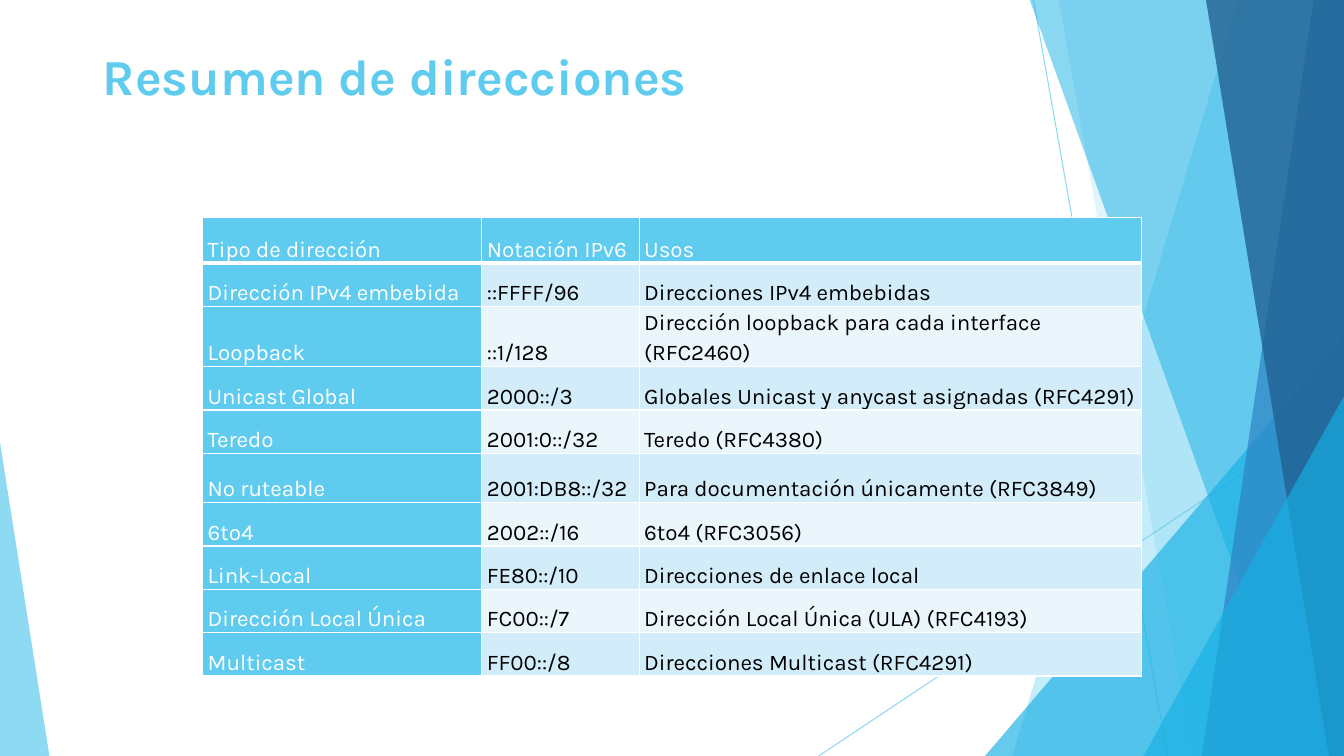
import pptx
import pptx.dml.color
import pptx.enum.shapes
import pptx.enum.text
import pptx.oxml.ns
import pptx.util
from lxml import etree
from pptx.util import Inches

FONT = "Karla"
WIDTH, HEIGHT = 13.33, 7.5
COLORS = {
    "sky": "5FCBEF",
    "cyan": "17B0E4",
    "blue": "2E83C3",
    "navy": "226292",
    "band_dark": "D2ECF9",
    "band_light": "EAF6FC",
    "white": "FFFFFF",
    "black": "000000",
}
COLUMN_WIDTHS = [2.77, 1.56, 4.98]
ROW_HEIGHT = 0.43
SPECIAL_HEIGHTS = {0: 0.45, 5: 0.49}
ADDRESSES = [
    ("Tipo de dirección", "Notación IPv6", "Usos"),
    ("Dirección IPv4 embebida", "::FFFF/96", "Direcciones IPv4 embebidas"),
    ("Loopback", "::1/128", "Dirección loopback para cada interface (RFC2460)"),
    ("Unicast Global", "2000::/3", "Globales Unicast y anycast asignadas (RFC4291)"),
    ("Teredo", "2001:0::/32", "Teredo (RFC4380)"),
    ("No ruteable", "2001:DB8::/32", "Para documentación únicamente (RFC3849)"),
    ("6to4", "2002::/16", "6to4 (RFC3056)"),
    ("Link-Local", "FE80::/10", "Direcciones de enlace local"),
    ("Dirección Local Única", "FC00::/7", "Dirección Local Única (ULA) (RFC4193)"),
    ("Multicast", "FF00::/8", "Direcciones Multicast (RFC4291)"),
]


def rgb(name):
    return pptx.dml.color.RGBColor.from_string(COLORS[name])


def set_opacity(shape, percent):
    for color in shape.element.spPr.iter(pptx.oxml.ns.qn("a:srgbClr")):
        alpha = etree.SubElement(color, pptx.oxml.ns.qn("a:alpha"))
        alpha.set("val", str(percent * 1000))


def style_panel(shape, color, opacity):
    shape.shadow.inherit = False
    shape.fill.solid()
    shape.fill.fore_color.rgb = rgb(color)
    shape.line.fill.background()
    set_opacity(shape, opacity)


def add_ray(slide, start, end):
    ray = slide.shapes.add_connector(
        pptx.enum.shapes.MSO_CONNECTOR.STRAIGHT, *map(Inches, start + end))
    ray.line.color.rgb = rgb("sky")
    ray.line.width = pptx.util.Pt(0.75)
    set_opacity(ray, 70)
    etree.SubElement(ray.element.spPr, pptx.oxml.ns.qn("a:effectLst"))


def add_panel(slide, top_left, bottom_left, color, opacity):
    """Full-height panel with a slanted left side, reaching the right edge."""
    top = -0.01
    builder = slide.shapes.build_freeform(Inches(top_left), Inches(top))
    corners = [(WIDTH, top), (WIDTH, HEIGHT), (bottom_left, HEIGHT)]
    builder.add_line_segments([(Inches(x), Inches(y)) for x, y in corners], close=True)
    style_panel(builder.convert_to_shape(), color, opacity)


def add_triangle(slide, left, top, width, apex, color, opacity):
    """Triangle standing on the bottom edge of the slide."""
    triangle = slide.shapes.add_shape(
        pptx.enum.shapes.MSO_SHAPE.ISOSCELES_TRIANGLE,
        Inches(left), Inches(top), Inches(width), Inches(HEIGHT - top))
    triangle.adjustments[0] = apex
    style_panel(triangle, color, opacity)


def add_decoration(slide):
    add_ray(slide, (10.25, 0), (11.58, HEIGHT))
    add_ray(slide, (WIDTH, 4.03), (8.12, HEIGHT))
    add_panel(slide, 12.28, 10.04, "sky", 36)
    add_panel(slide, 10.5, 11.83, "sky", 20)
    add_triangle(slide, 9.77, 3.33, 3.56, 1, "cyan", 66)
    add_panel(slide, 10.21, 12.91, "cyan", 50)
    add_panel(slide, 13.03, 11.92, "blue", 70)
    add_panel(slide, 11.96, 13.18, "navy", 80)
    add_triangle(slide, 11.34, 3.93, 1.99, 1, "cyan", 66)
    add_triangle(slide, 0, 4.39, 0.49, 0, "sky", 70)


def set_font(paragraph, size, color, bold):
    for run in paragraph.runs:
        run.font.name = FONT
        run.font.size = pptx.util.Pt(size)
        run.font.bold = bold
        run.font.color.rgb = rgb(color)


def set_title(slide, text):
    title = slide.shapes.title
    title.left, title.top = Inches(0.92), Inches(0.4)
    title.width, title.height = Inches(11.5), Inches(1.45)
    title.text_frame.text = text
    title.text_frame.vertical_anchor = pptx.enum.text.MSO_ANCHOR.TOP
    paragraph = title.text_frame.paragraphs[0]
    paragraph.alignment = pptx.enum.text.PP_ALIGN.LEFT
    set_font(paragraph, 36, "sky", True)


def set_borders(cell, bottom_width):
    properties = cell._tc.get_or_add_tcPr()
    for side, width in (("L", 1), ("R", 1), ("T", 1), ("B", bottom_width)):
        border = etree.SubElement(properties, pptx.oxml.ns.qn(f"a:ln{side}"))
        border.set("w", str(pptx.util.Pt(width)))
        fill = etree.SubElement(border, pptx.oxml.ns.qn("a:solidFill"))
        color = etree.SubElement(fill, pptx.oxml.ns.qn("a:srgbClr"))
        color.set("val", COLORS["white"])


def fill_cell(cell, text, fill, color, bottom_width):
    set_borders(cell, bottom_width)
    cell.fill.solid()
    cell.fill.fore_color.rgb = rgb(fill)
    cell.margin_left = cell.margin_right = Inches(0.05)
    cell.margin_top = cell.margin_bottom = 0
    cell.vertical_anchor = pptx.enum.text.MSO_ANCHOR.BOTTOM
    cell.text_frame.text = text
    paragraph = cell.text_frame.paragraphs[0]
    paragraph.line_spacing = 1.15
    set_font(paragraph, 16, color, False)


def add_address_table(slide):
    heights = [SPECIAL_HEIGHTS.get(row, ROW_HEIGHT) for row in range(len(ADDRESSES))]
    table = slide.shapes.add_table(
        len(heights), len(COLUMN_WIDTHS), Inches(2.01), Inches(2.16),
        Inches(sum(COLUMN_WIDTHS)), Inches(sum(heights))).table
    for column, width in zip(table.columns, COLUMN_WIDTHS):
        column.width = Inches(width)
    for row, height in enumerate(heights):
        table.rows[row].height = Inches(height)
        band = "band_dark" if row % 2 else "band_light"
        for column, text in enumerate(ADDRESSES[row]):
            is_heading = row == 0 or column == 0
            fill_cell(table.cell(row, column), text,
                      "sky" if is_heading else band,
                      "white" if is_heading else "black",
                      3 if row == 0 else 1)


def main():
    presentation = pptx.Presentation()
    presentation.slide_width = Inches(WIDTH)
    presentation.slide_height = Inches(HEIGHT)
    slide = presentation.slides.add_slide(presentation.slide_layouts[5])

    # Slanted panels at the slide edges
    add_decoration(slide)

    # Title and address summary
    set_title(slide, "Resumen de direcciones")
    add_address_table(slide)

    presentation.save("out.pptx")


if __name__ == "__main__":
    main()
